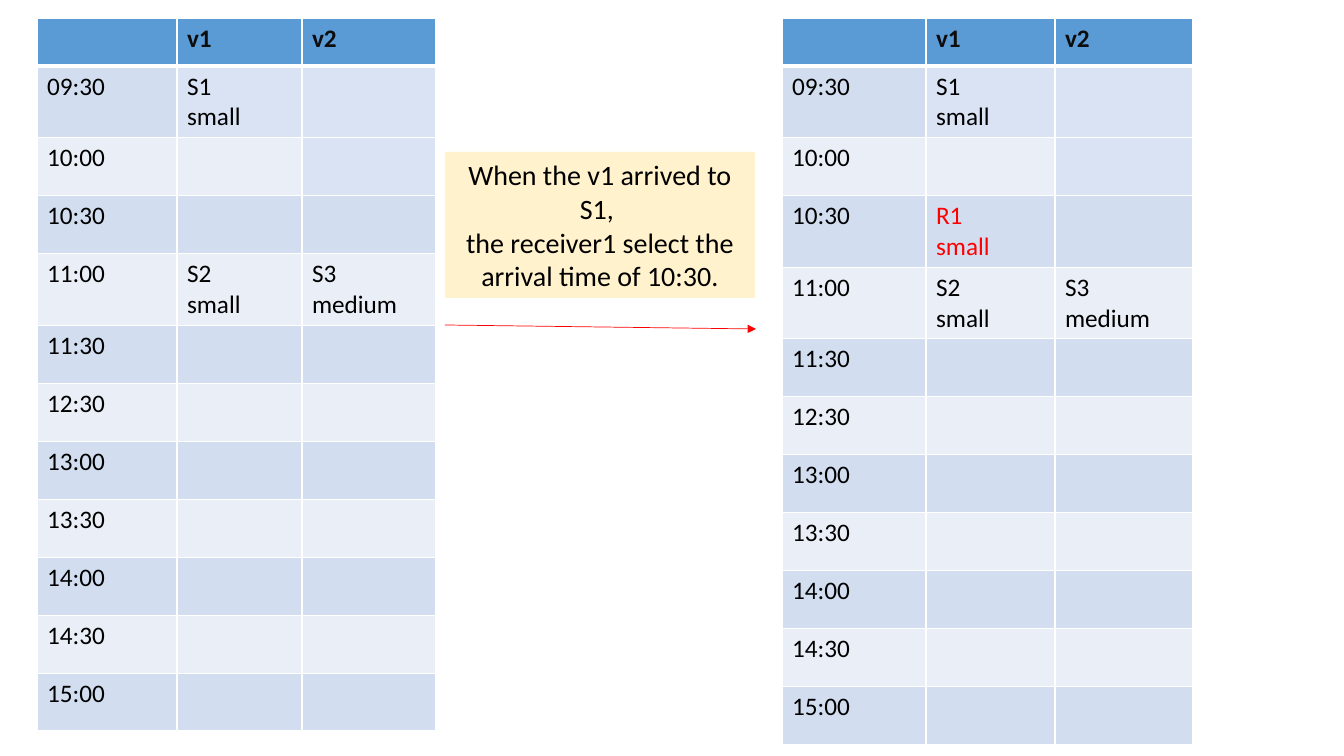
from lxml import etree
from pptx import Presentation
from pptx.dml.color import RGBColor
from pptx.enum.shapes import MSO_CONNECTOR, MSO_SHAPE
from pptx.enum.text import MSO_ANCHOR, PP_ALIGN
from pptx.oxml.ns import qn
from pptx.util import Pt

STRAIGHT, RECTANGLE = MSO_CONNECTOR.STRAIGHT, MSO_SHAPE.RECTANGLE
CENTER, MIDDLE = PP_ALIGN.CENTER, MSO_ANCHOR.MIDDLE

# Content: "\v" breaks a line, "\n" starts a paragraph
VEHICLES = ["", "v1", "v2"]
TIMES = ["09:30", "10:00", "10:30", "11:00", "11:30", "12:30",
         "13:00", "13:30", "14:00", "14:30", "15:00"]
BOOKED = {("09:30", "v1"): "S1\vsmall",
          ("11:00", "v1"): "S2\vsmall",
          ("11:00", "v2"): "S3\nmedium"}
RECEIVED = {("10:30", "v1"): "R1\vsmall"}
TINTED = {("09:30", "v1"), ("09:30", "v2"), ("10:00", "v2")}
NOTE = ["When the v1 arrived to S1, ",
        "the receiver1 select the arrival time of 10:30."]

# Layout in px: left edge, column widths, added bookings
SCHEDULES = [(37, [140, 125, 134], {}),
             (782, [144, 129, 138], RECEIVED)]
TABLE_TOP, HEADER_H, SLOT_H, BOOKED_H = 18, 48, 58, 71
NOTE_BOX = (445, 152, 310, 146)
ARROW = (445, 325, 756, 329)

THEME = {"font": "Calibri", "cell_pt": 18, "note_pt": 20,
         "header": "5B9BD5", "header_text": "0D0D0D", "text": "000000",
         "bands": ["D2DEEF", "EAEFF7"], "tint": "DAE3F3",
         "border": "FFFFFF", "note": "FFF2CC", "accent": "FF0000"}


def px(length):
    return round(length * 914400 / 100.8)


def paint(fill, color):
    fill.solid()
    fill.fore_color.rgb = RGBColor.from_string(color)


def style_text(frame, size, color, bold=False):
    for paragraph in frame.paragraphs:
        font = paragraph.font
        font.name, font.size, font.bold = THEME["font"], Pt(size), bold
        font.color.rgb = RGBColor.from_string(color)


def add_borders(cell, bottom_pt):
    properties = cell._tc.get_or_add_tcPr()
    widths = {"a:lnL": 1, "a:lnR": 1, "a:lnT": 1, "a:lnB": bottom_pt}
    for position, (tag, width) in enumerate(widths.items()):
        edge = etree.Element(qn(tag), w=str(Pt(width)))
        solid = etree.SubElement(edge, qn("a:solidFill"))
        etree.SubElement(solid, qn("a:srgbClr"), val=THEME["border"])
        properties.insert(position, edge)


def fill_cell(cell, text, background, color, header=False):
    paint(cell.fill, background)
    add_borders(cell, 3 if header else 1)
    cell.text = text
    style_text(cell.text_frame, THEME["cell_pt"], color, header)


def add_schedule(slide, left, widths, added):
    bookings = {**BOOKED, **added}
    busy = {time for time, vehicle in bookings}
    heights = [HEADER_H] + [BOOKED_H if time in busy else SLOT_H for time in TIMES]
    schedule = slide.shapes.add_table(
        len(heights), len(widths), px(left), px(TABLE_TOP),
        px(sum(widths)), px(sum(heights))).table
    for column, width in zip(schedule.columns, widths):
        column.width = px(width)
    for row, height in zip(schedule.rows, heights):
        row.height = px(height)

    for c, vehicle in enumerate(VEHICLES):
        fill_cell(schedule.cell(0, c), vehicle, THEME["header"],
                  THEME["header_text"], header=True)
        for r, time in enumerate(TIMES):
            slot = (time, vehicle)
            text = bookings.get(slot, "") if vehicle else time
            background = THEME["tint"] if slot in TINTED else THEME["bands"][r % 2]
            color = THEME["accent"] if slot in added else THEME["text"]
            fill_cell(schedule.cell(r + 1, c), text, background, color)


def add_arrow(slide):
    arrow = slide.shapes.add_connector(STRAIGHT, *map(px, ARROW))
    arrow.line.width = Pt(0.5)
    paint(arrow.line.fill, THEME["accent"])
    etree.SubElement(arrow.line._get_or_add_ln(), qn("a:tailEnd"), type="triangle")
    etree.SubElement(arrow._element.spPr, qn("a:effectLst"))


def add_note(slide):
    note = slide.shapes.add_shape(RECTANGLE, *map(px, NOTE_BOX))
    note.shadow.inherit = False
    paint(note.fill, THEME["note"])
    note.line.fill.background()
    frame = note.text_frame
    frame.word_wrap = True
    frame.vertical_anchor = MIDDLE
    frame.text = "\n".join(NOTE)
    style_text(frame, THEME["note_pt"], THEME["text"])
    for paragraph in frame.paragraphs:
        paragraph.alignment = CENTER


def main():
    deck = Presentation()
    deck.slide_width, deck.slide_height = px(1344), px(756)
    slide = deck.slides.add_slide(deck.slide_layouts[6])
    for left, widths, added in SCHEDULES:
        add_schedule(slide, left, widths, added)
    add_arrow(slide)
    add_note(slide)
    deck.save("out.pptx")


if __name__ == "__main__":
    main()
